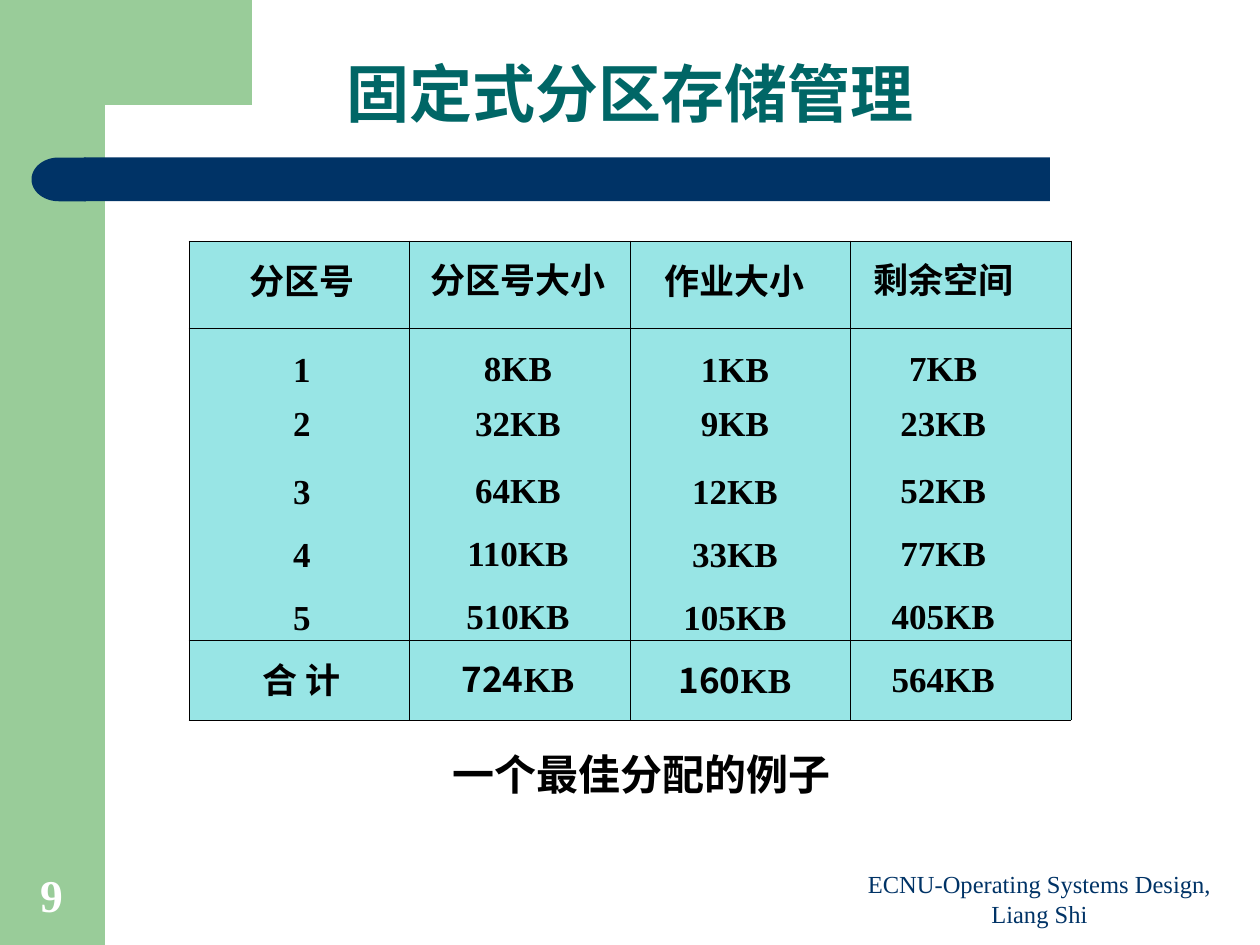
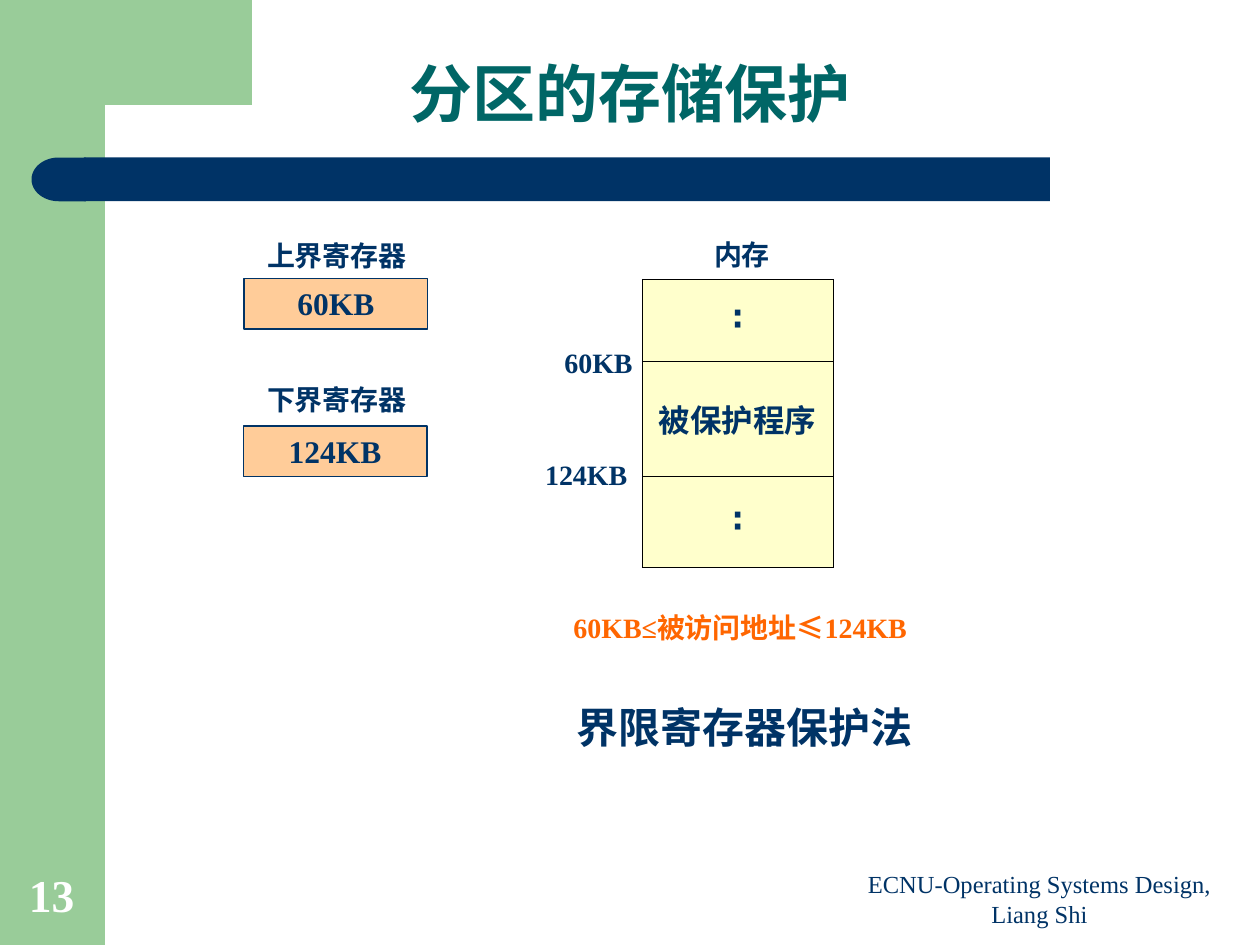
"""Build two slides on fixed-partition memory management."""

from lxml import etree
from pptx import Presentation
from pptx.dml.color import RGBColor
from pptx.enum.shapes import MSO_SHAPE
from pptx.enum.text import MSO_ANCHOR, PP_ALIGN
from pptx.oxml.ns import qn
from pptx.util import Pt

RECTANGLE = MSO_SHAPE.RECTANGLE
DELAY = MSO_SHAPE.FLOWCHART_DELAY
CENTER = PP_ALIGN.CENTER
TOP, MIDDLE, BOTTOM = MSO_ANCHOR.TOP, MSO_ANCHOR.MIDDLE, MSO_ANCHOR.BOTTOM

COLORS = {
    "green": "99CC99",
    "navy": "003366",
    "teal": "006666",
    "aqua": "33CCCC",
    "cream": "FFFFCC",
    "peach": "FFCC99",
    "orange": "FF6600",
    "black": "000000",
    "white": "FFFFFF",
}
SERIF = "Times New Roman"
CJK = "Noto Sans CJK SC"
FOOTER = "ECNU-Operating Systems Design, Liang Shi"
CORNER = [(144, 0), (144, 60), (60, 60.5), (58, 60), (55, 61), (51, 66),
          (49, 75), (48, 83.5), (48, 92), (36, 92), (36, 0)]
LINE_SPACINGS = [1, 2.1, 1.3, 1.6, 1.5, 1.5, 1.5]


class Deck:
    """Hold the style and the current slide, and draw each kind of element."""

    def __init__(self):
        self.presentation = Presentation()
        self.presentation.slide_width = Pt(720)
        self.presentation.slide_height = Pt(540)
        self.slide = None

    def color(self, name):
        return RGBColor.from_string(COLORS[name])

    def add_slide(self, title, number, title_font):
        layout = self.presentation.slide_layouts[6]
        self.slide = self.presentation.slides.add_slide(layout)
        self.shape(RECTANGLE, 0, 0, 60, 540, "green")
        self.corner()
        self.shape(RECTANGLE, 48, 90, 552, 25, "navy")
        self.shape(DELAY, 18, 90, 31, 25, "navy").rotation = 180
        heading = self.text(title, 0, 21, 720, 54, 36, "teal", title_font, anchor=BOTTOM)
        heading.text_frame.margin_bottom = 0
        heading.text_frame.paragraphs[0].line_spacing = 0.9
        self.text(FOOTER, 480, 497, 228, 37, 14, bold=False, anchor=BOTTOM, wrap=True)
        self.text(number, 0, 492, 59, 38, 26, "white", anchor=BOTTOM)

    def paint(self, shape, fill, line=None):
        shape.shadow.inherit = False
        shape.fill.solid()
        shape.fill.fore_color.rgb = self.color(fill)
        if line:
            shape.line.color.rgb = self.color(line)
            shape.line.width = Pt(0.75)
        else:
            shape.line.fill.background()

    def shape(self, kind, left, top, width, height, fill, line=None):
        shape = self.slide.shapes.add_shape(kind, Pt(left), Pt(top), Pt(width), Pt(height))
        self.paint(shape, fill, line)
        return shape

    def corner(self):
        builder = self.slide.shapes.build_freeform(*CORNER[0], scale=Pt(1))
        builder.add_line_segments(CORNER[1:], close=True)
        self.paint(builder.convert_to_shape(), "green")

    def style(self, paragraph, size, color, font, bold=True):
        paragraph.alignment = CENTER
        paragraph.font.size = Pt(size)
        paragraph.font.bold = bold
        paragraph.font.color.rgb = self.color(color)
        paragraph.font.name = font
        latin = paragraph._p.pPr.find(qn("a:defRPr")).find(qn("a:latin"))
        east_asian = etree.Element(qn("a:ea"), typeface=CJK)
        latin.addnext(east_asian)

    def text(self, text, left, top, width, height, size, color="navy", font=SERIF,
             bold=True, anchor=TOP, wrap=False):
        box = self.slide.shapes.add_textbox(Pt(left), Pt(top), Pt(width), Pt(height))
        frame = box.text_frame
        frame.word_wrap = wrap
        frame.vertical_anchor = anchor
        frame.text = text
        self.style(frame.paragraphs[0], size, color, font, bold)
        return box

    def column(self, left, top, width, header, values, total):
        box = self.text(header, left, top, width, 259, 20, "black", CJK)
        for value, spacing in zip([*values, total], LINE_SPACINGS[1:]):
            paragraph = box.text_frame.add_paragraph()
            self.style(paragraph, 20, "black", SERIF)
            paragraph.line_spacing = spacing
            runs = value if isinstance(value, tuple) else (value,)
            for text in runs:
                paragraph.add_run().text = text
            if len(runs) > 1:
                paragraph.runs[0].font.name = CJK

    def register(self, label, value, left, top, label_top):
        shape = self.shape(RECTANGLE, left, top, 105, 29, "peach", "navy")
        frame = shape.text_frame
        frame.vertical_anchor = TOP
        frame.text = value
        self.style(frame.paragraphs[0], 18, "navy", SERIF)
        self.text(label, 140.5, label_top, 104, 27, 16)

    def table(self, left, top, widths, heights, fill, alpha=None):
        table = self.slide.shapes.add_table(
            len(heights), len(widths), Pt(left), Pt(top), Pt(sum(widths)), Pt(sum(heights))
        ).table
        for column, width in zip(table.columns, widths):
            column.width = Pt(width)
        for row, height in zip(table.rows, heights):
            row.height = Pt(height)
        for cell in table.iter_cells():
            self.cell(cell, fill, alpha)
        return table

    def cell(self, cell, fill, alpha):
        properties = cell._tc.get_or_add_tcPr()
        for side in ("a:lnL", "a:lnR", "a:lnT", "a:lnB"):
            line = etree.SubElement(properties, qn(side), w=str(Pt(0.45)))
            solid = etree.SubElement(line, qn("a:solidFill"))
            etree.SubElement(solid, qn("a:srgbClr"), val=COLORS["black"])
        cell.fill.solid()
        cell.fill.fore_color.rgb = self.color(fill)
        if alpha:
            color = properties.find(qn("a:solidFill"))[0]
            etree.SubElement(color, qn("a:alpha"), val=str(alpha * 1000))


def add_partition_slide(deck):
    deck.add_slide("固定式分区存储管理", "9", CJK)
    deck.table(108, 137.75, [126] * 4, [49.75, 178.25, 45.75], "aqua", alpha=50)
    columns = [
        (124.5, 144.5, 96, "分区号", ["1", "2", "3", "4", "5"], ("合 ", "计")),
        (237.5, 144, 117, "分区号大小",
         ["8KB", "32KB", "64KB", "110KB", "510KB"], ("724", "KB")),
        (361.5, 144.5, 117, "作业大小",
         ["1KB", "9KB", "12KB", "33KB", "105KB"], ("160", "KB")),
        (480.5, 144, 117, "剩余空间",
         ["7KB", "23KB", "52KB", "77KB", "405KB"], "564KB"),
    ]
    for column in columns:
        deck.column(*column)
    deck.text("一个最佳分配的例子", 240, 424, 253, 36, 24, "black", "Arial")


def add_protection_slide(deck):
    deck.add_slide("分区的存储保护", "13", "Arial")
    memory = deck.table(367, 159.5, [109], [46.75, 65.75, 52.5], "cream")
    for cell, content in zip(memory.iter_cells(), ["∶", "被保护程序", "∶"]):
        cell.vertical_anchor = MIDDLE
        cell.text = content
        deck.style(cell.text_frame.paragraphs[0], 18, "navy", "Calibri")
    deck.text("60KB", 315, 194, 54, 27, 16)
    deck.text("124KB", 302, 258, 66, 27, 16)
    deck.register("上界寄存器", "60KB", 139.5, 159, 133)
    deck.register("下界寄存器", "124KB", 139, 243.5, 215)
    deck.text("内存", 392, 132, 64, 27, 16)
    deck.text("60KB≤被访问地址≤124KB", 305.5, 345.5, 235, 27, 16, "orange")
    deck.text("界限寄存器保护法", 291, 397.5, 269, 36, 24)


def main():
    deck = Deck()
    add_partition_slide(deck)
    add_protection_slide(deck)
    deck.presentation.save("out.pptx")


if __name__ == "__main__":
    main()
